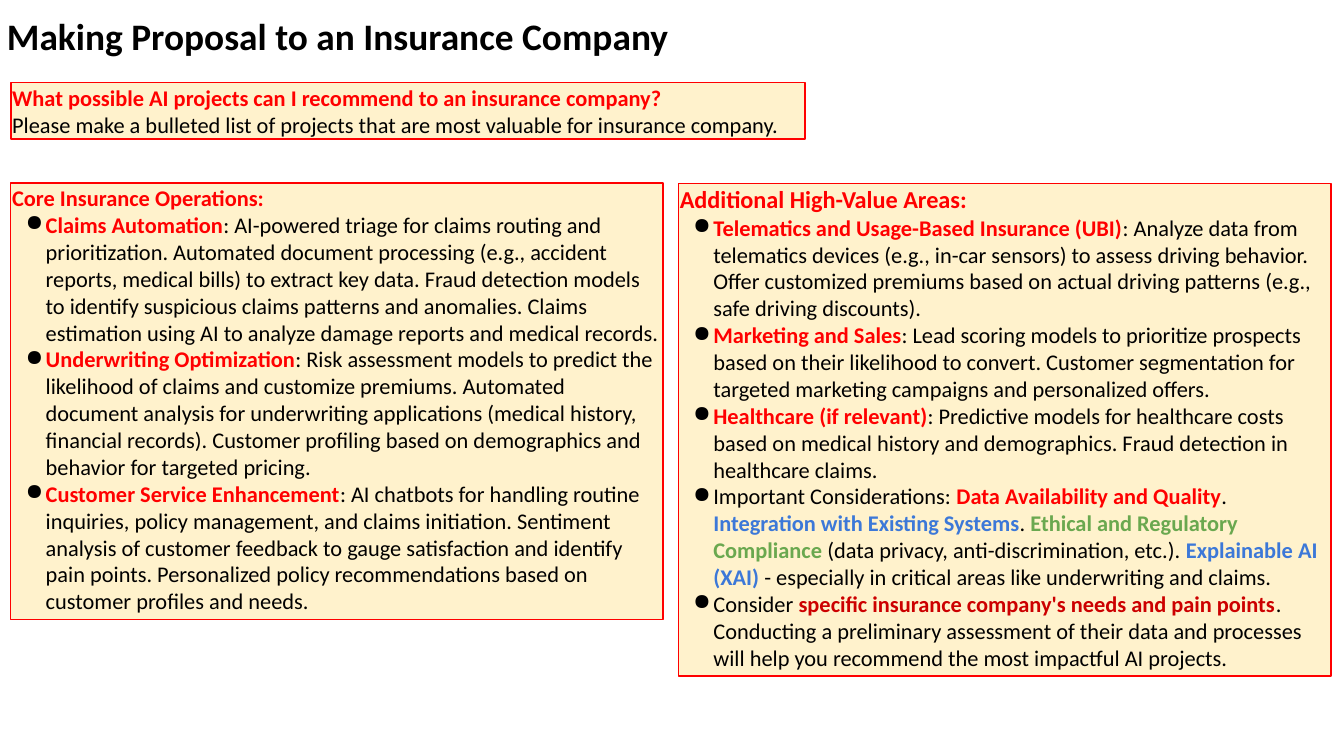
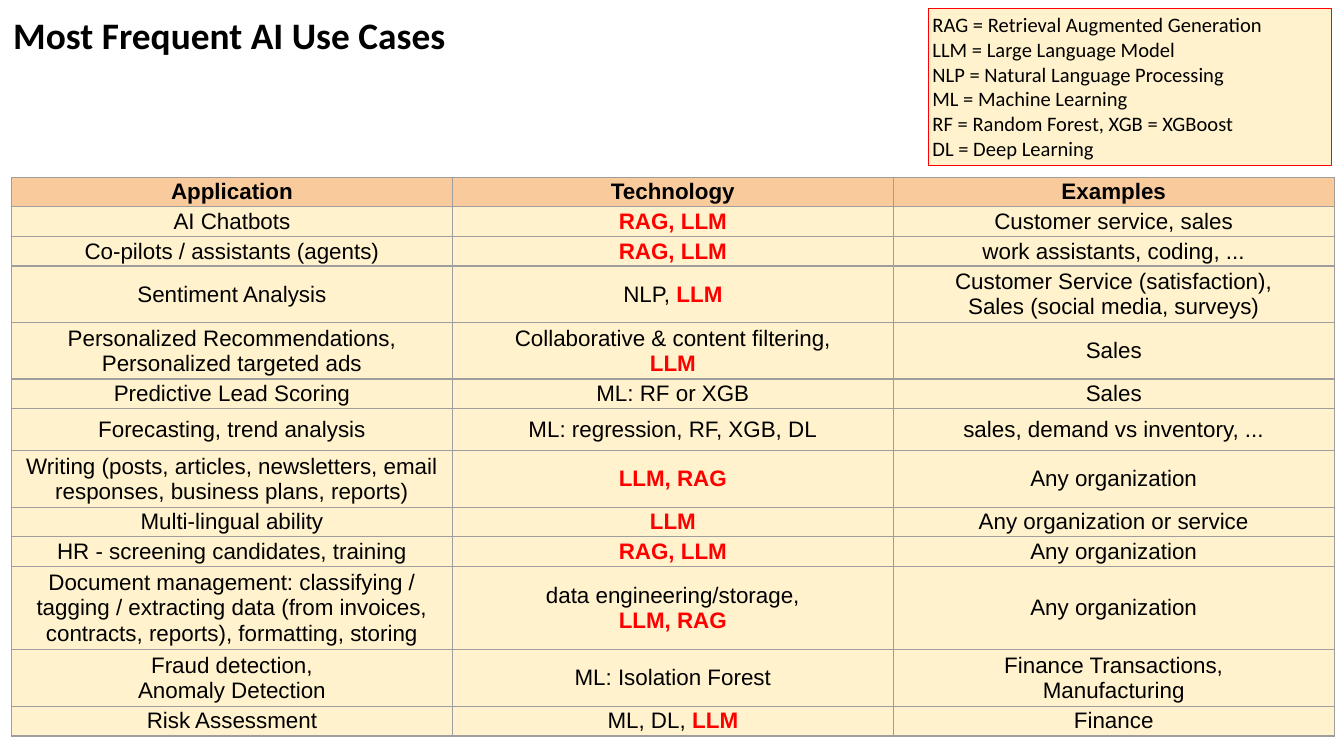
from copy import deepcopy

from lxml import etree
from pptx import Presentation
from pptx import util as u
from pptx.dml import color
from pptx.enum import shapes, text
from pptx.oxml import ns

BLACK, RED, DARK_RED = "000000", "FF0000", "CC0000"
BLUE, GREEN = "3C78D8", "6AA84F"
CREAM, PEACH, GREY = "FFF2CC", "F9CB9C", "9E9E9E"
THIN = 0.72
LINE_WIDTH = 0.75
ROW_HEIGHTS = {1: 15.85, 2: 30.2, 3: 44.7}


def rgb(value):
    return color.RGBColor.from_string(value)


def assign(target, values):
    for name, value in values.items():
        setattr(target, name, value)


def add_node(parent, tag, **attributes):
    return etree.SubElement(parent, ns.qn(tag), attributes)


def red(words):
    return words, RED


class SlideBuilder:
    """Keeps the common style and the slide being filled.

    Text is a list of paragraphs, each a list of runs: a plain string is
    regular black, a (words, colour) pair is bold in that colour.
    """

    def __init__(self, deck):
        self.deck = deck
        self.slide = None

    def new_slide(self):
        self.slide = self.deck.slides.add_slide(self.deck.slide_layouts[6])

    def add_runs(self, para, runs, size, font="Calibri"):
        for run in runs:
            words, tint = (run, None) if isinstance(run, str) else run
            for index, line in enumerate(words.split("\n")):
                if index:
                    para.add_line_break()
                    para._p[-1].append(deepcopy(span._r.rPr))
                if line:
                    span = para.add_run()
                    span.text = line
                    assign(span.font, {"name": font, "size": u.Pt(size), "bold": tint is not None})
                    span.font.color.rgb = rgb(tint or BLACK)

    def bullet(self, para):
        properties = para._p.get_or_add_pPr()
        properties.set("marL", str(u.Pt(18)))
        properties.set("indent", str(u.Pt(-10.8)))
        add_node(add_node(properties, "a:buClr"), "a:srgbClr", val=BLACK)
        add_node(properties, "a:buChar", char="●")

    def frame(self, shape, inset):
        margins = {f"margin_{side}": u.Pt(inset) for side in ("left", "top", "right", "bottom")}
        assign(shape.text_frame, {
            "word_wrap": True,
            "auto_size": text.MSO_AUTO_SIZE.SHAPE_TO_FIT_TEXT,
            "vertical_anchor": text.MSO_ANCHOR.TOP,
            **margins,
        })
        return shape.text_frame

    def title(self, words, left, top, width, height, inset):
        box = self.slide.shapes.add_textbox(*map(u.Pt, (left, top, width, height)))
        self.add_runs(self.frame(box, inset).paragraphs[0], [(words, BLACK)], 20)

    def panel(self, left, top, width, height, paragraphs, heading=None,
              size=12, heading_size=12, inset=THIN):
        """Red-edged cream box; paragraphs under a heading are bulleted."""
        box = self.slide.shapes.add_shape(
            shapes.MSO_SHAPE.RECTANGLE, *map(u.Pt, (left, top, width, height)))
        box.shadow.inherit = False
        box.fill.solid()
        box.fill.fore_color.rgb = rgb(CREAM)
        box.line.color.rgb = rgb(RED)
        box.line.width = u.Pt(LINE_WIDTH)
        frame = self.frame(box, inset)
        lines = [[red(heading)]] + paragraphs if heading else paragraphs
        for index, runs in enumerate(lines):
            para = frame.add_paragraph() if index else frame.paragraphs[0]
            para.alignment = text.PP_ALIGN.LEFT
            is_heading = bool(heading) and index == 0
            if heading and not is_heading:
                self.bullet(para)
            self.add_runs(para, runs, heading_size if is_heading else size)

    def border(self, cell):
        properties = cell._tc.get_or_add_tcPr()
        for tag in ("a:lnL", "a:lnR", "a:lnT", "a:lnB"):
            edge = add_node(properties, tag, w=str(u.Pt(LINE_WIDTH)))
            add_node(add_node(edge, "a:solidFill"), "a:srgbClr", val=GREY)

    def table(self, left, top, column_width, header, rows):
        """Each row is (height, cells), a cell being a list of runs."""
        everything = [(ROW_HEIGHTS[1], [[(name, BLACK)] for name in header])] + rows
        total = sum(height for height, _ in everything)
        table = self.slide.shapes.add_table(
            len(everything), len(header),
            *map(u.Pt, (left, top, column_width * len(header), total))).table
        assign(table, {"first_row": False, "horz_banding": False})
        for column in table.columns:
            column.width = u.Pt(column_width)
        for row_index, (height, cells) in enumerate(everything):
            table.rows[row_index].height = u.Pt(height)
            for cell, runs in zip(table.rows[row_index].cells, cells):
                assign(cell, {f"margin_{side}": u.Pt(THIN)
                              for side in ("left", "top", "right", "bottom")})
                cell.vertical_anchor = text.MSO_ANCHOR.MIDDLE
                self.border(cell)
                cell.fill.solid()
                cell.fill.fore_color.rgb = rgb(CREAM if row_index else PEACH)
                para = cell.text_frame.paragraphs[0]
                para.alignment = text.PP_ALIGN.CENTER
                self.add_runs(para, runs, 12, "Arial")


def proposal_slide(page):
    page.new_slide()
    page.title("Making Proposal to an Insurance Company", 3, 6.5, 396, 26, THIN)
    page.panel(5.8, 44.2, 425.5, 30.4, [[
        red("What possible AI projects can I recommend to an insurance company?\n"),
        "Please make a bulleted list of projects that are most valuable for insurance company.",
    ]])
    page.panel(363.5, 98.2, 349.5, 264, [
        [red("Telematics and Usage-Based Insurance (UBI)"),
         ": Analyze data from telematics devices (e.g., in-car sensors) to assess driving "
         "behavior. Offer customized premiums based on actual driving patterns (e.g., safe "
         "driving discounts)."],
        [red("Marketing and Sales"),
         ": Lead scoring models to prioritize prospects based on their likelihood to convert. "
         "Customer segmentation for targeted marketing campaigns and personalized offers."],
        [red("Healthcare (if relevant)"),
         ": Predictive models for healthcare costs based on medical history and demographics. "
         "Fraud detection in healthcare claims."],
        ["Important Considerations: ", red("Data Availability and Quality"), ". ",
         ("Integration with Existing Systems", BLUE), ". ",
         ("Ethical and Regulatory Compliance", GREEN),
         " (data privacy, anti-discrimination, etc.). ", ("Explainable AI (XAI) ", BLUE),
         "- especially in critical areas like underwriting and claims."],
        ["Consider ", ("specific insurance company's needs and pain points", DARK_RED),
         ". Conducting a preliminary assessment of their data and processes will help you "
         "recommend the most impactful AI projects."],
    ], heading="Additional High-Value Areas:", heading_size=13)
    page.panel(5.8, 98, 349.5, 234, [
        [red("Claims Automation"),
         ": AI-powered triage for claims routing and prioritization. Automated document "
         "processing (e.g., accident reports, medical bills) to extract key data. Fraud "
         "detection models to identify suspicious claims patterns and anomalies. Claims "
         "estimation using AI to analyze damage reports and medical records."],
        [red("Underwriting Optimization"),
         ": Risk assessment models to predict the likelihood of claims and customize premiums. "
         "Automated document analysis for underwriting applications (medical history, "
         "financial records). Customer profiling based on demographics and behavior for "
         "targeted pricing."],
        [red("Customer Service Enhancement"),
         ": AI chatbots for handling routine inquiries, policy management, and claims "
         "initiation. Sentiment analysis of customer feedback to gauge satisfaction and "
         "identify pain points. Personalized policy recommendations based on customer "
         "profiles and needs."],
    ], heading="Core Insurance Operations:")


def use_cases_slide(page):
    one, two, three = (ROW_HEIGHTS[lines] for lines in (1, 2, 3))
    page.new_slide()
    page.title("Most Frequent AI Use Cases", 0, -0.5, 268, 39, 7.2)
    page.table(6.2, 95, 236.2, ["Application", "Technology", "Examples"], [
        (one, [["AI Chatbots"], [red("RAG, LLM")], ["Customer service, sales"]]),
        (one, [["Co-pilots / assistants (agents)"], [red("RAG, LLM")],
               ["work assistants, coding, ..."]]),
        (two, [["Sentiment Analysis"], ["NLP, ", red("LLM")],
               ["Customer Service (satisfaction),\nSales (social media, surveys)"]]),
        (two, [["Personalized Recommendations,\nPersonalized targeted ads"],
               ["Collaborative & content filtering,\n", red("LLM")], ["Sales"]]),
        (one, [["Predictive Lead Scoring"], ["ML: RF or XGB"], ["Sales"]]),
        (22.7, [["Forecasting, trend analysis"], ["ML: regression, RF, XGB, DL"],
                ["sales, demand vs inventory, ..."]]),
        (two, [["Writing (posts, articles, newsletters, email responses, business plans, "
                "reports)"], [red("LLM, RAG")], ["Any organization"]]),
        (one, [["Multi-lingual ability"], [red("LLM")], ["Any organization or service"]]),
        (one, [["HR - screening candidates, training"], [red("RAG, LLM")],
               ["Any organization"]]),
        (three, [["Document management: classifying / tagging / extracting data (from "
                  "invoices, contracts, reports), formatting, storing"],
                 ["data engineering/storage,\n", red("LLM, RAG")], ["Any organization"]]),
        (two, [["Fraud detection,\nAnomaly Detection"], ["ML: Isolation Forest"],
               ["Finance Transactions,\nManufacturing"]]),
        (one, [["Risk Assessment"], ["ML, DL, ", red("LLM")], ["Finance"]]),
    ])
    page.panel(497.5, 4.6, 216, 84, [
        ["RAG = Retrieval Augmented Generation"],
        ["LLM = Large Language Model"],
        ["NLP = Natural Language Processing"],
        ["ML = Machine Learning"],
        ["RF = Random Forest, XGB = XGBoost"],
        ["DL = Deep Learning"],
    ], size=11, inset=2)


def main():
    deck = Presentation()
    assign(deck, {"slide_width": u.Pt(720), "slide_height": u.Pt(405)})
    page = SlideBuilder(deck)
    proposal_slide(page)
    use_cases_slide(page)
    deck.save("out.pptx")


if __name__ == "__main__":
    main()
